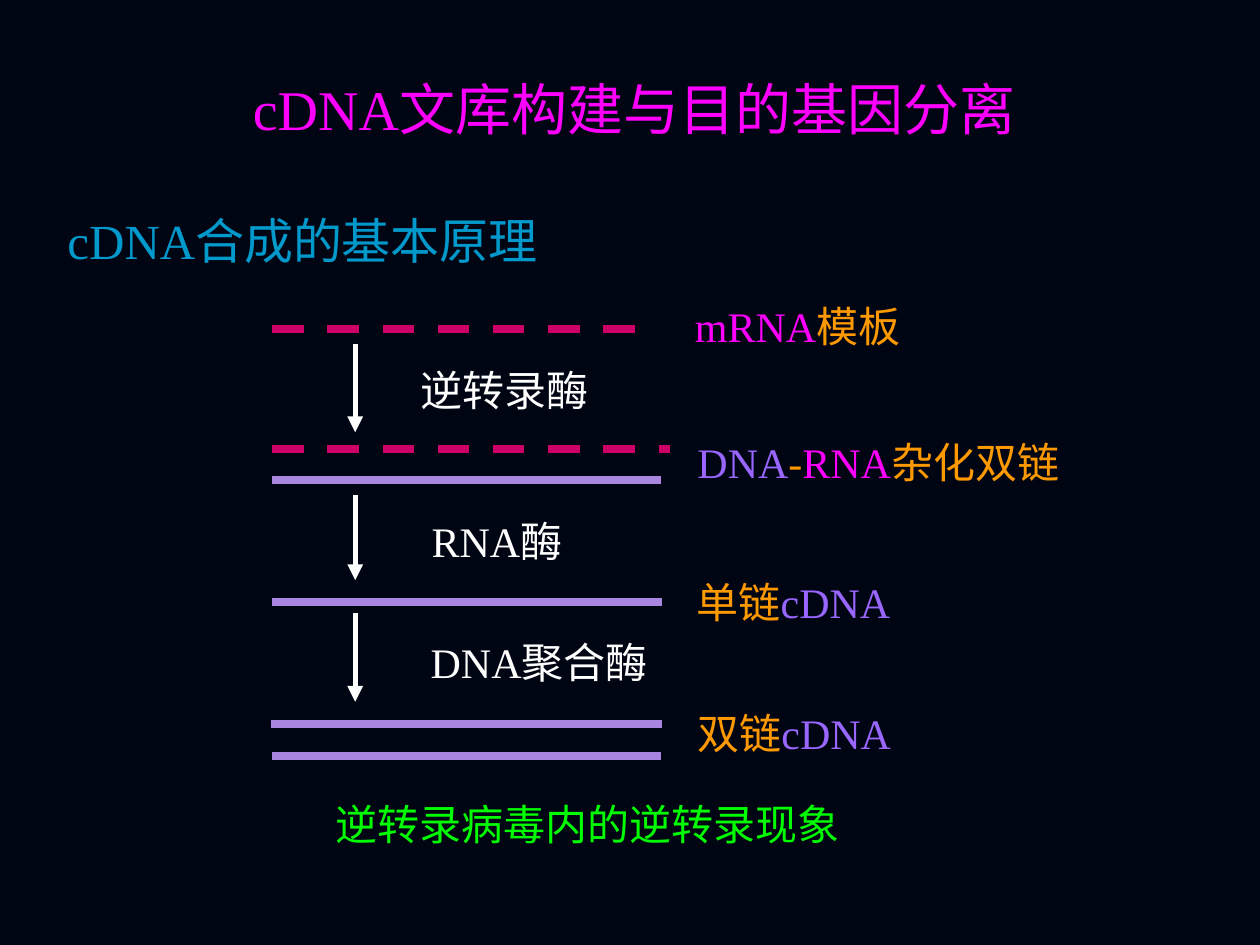
from typing import NamedTuple

from lxml.etree import SubElement
from pptx import Presentation
from pptx.dml.color import RGBColor
from pptx.enum.dml import MSO_LINE_DASH_STYLE as Dash
from pptx.enum.shapes import MSO_CONNECTOR as Connector
from pptx.enum.text import MSO_ANCHOR as Anchor, MSO_AUTO_SIZE as AutoSize, PP_ALIGN as Align
from pptx.oxml.ns import qn
from pptx.util import Pt

NIGHT = RGBColor(0x00, 0x05, 0x14)
WHITE = RGBColor(0xFF, 0xFF, 0xFF)
MAGENTA = RGBColor(0xFF, 0x00, 0xFF)
ORANGE = RGBColor(0xFF, 0x99, 0x00)
VIOLET = RGBColor(0x99, 0x66, 0xFF)
BLUE = RGBColor(0x00, 0x99, 0xCC)
GREEN = RGBColor(0x00, 0xFF, 0x00)
RNA_RED = RGBColor(0xCC, 0x00, 0x66)
DNA_LILAC = RGBColor(0xA8, 0x86, 0xE0)

FONT = "Times New Roman"
LABEL_HEIGHT = 36.5
STRAND_LEFT = 155.5
ARROW_X = 203


class Run(NamedTuple):
    text: str
    color: RGBColor


class Label(NamedTuple):
    left: float
    top: float
    width: float
    runs: list[Run]
    height: float = LABEL_HEIGHT
    size: float = 24
    align: Align = Align.LEFT
    line_spacing: float = 1.0


class Strand(NamedTuple):
    y: float
    right: float
    is_rna: bool = False
    left: float = STRAND_LEFT


class Step(NamedTuple):
    top: float
    bottom: float


TITLE = Label(69, 39, 587, [Run("cDNA文库构建与目的基因分离", MAGENTA)], 54, 32, Align.CENTER)

LABELS = [
    # Heading and closing remark
    Label(31.5, 100, 564.5, [Run("cDNA合成的基本原理", BLUE)], 55.5, 28, line_spacing=1.5),
    Label(46, 453, 579, [Run("逆转录病毒内的逆转录现象", GREEN)], 36, align=Align.CENTER),
    # Products
    Label(390, 168, 189.5, [Run("mRNA", MAGENTA), Run("模板", ORANGE)]),
    Label(391.5, 246, 307, [Run("DNA", VIOLET), Run("-", ORANGE),
                            Run("RNA", MAGENTA), Run("杂化双链", ORANGE)]),
    Label(391, 326, 151, [Run("单链", ORANGE), Run("cDNA", VIOLET)]),
    Label(391.5, 400.5, 150, [Run("双链", ORANGE), Run("cDNA", VIOLET)]),
    # Enzymes
    Label(233.5, 204.5, 150, [Run("逆转录酶", WHITE)]),
    Label(239.5, 291, 121, [Run("RNA酶", WHITE)]),
    Label(239, 360, 158, [Run("DNA聚合酶", WHITE)]),
]

STRANDS = [
    Strand(188, 375, is_rna=True),
    Strand(256.5, 383, is_rna=True),
    Strand(274.5, 377.5),
    Strand(344, 378.5),
    Strand(414, 377.5),
    Strand(432, 377.5),
    Strand(413.5, 378, left=155),
]

STEPS = [Step(196.5, 247), Step(283, 331.5), Step(350.5, 401)]


def fill_text(shape, label: Label) -> None:
    """Place a shape and write the label's coloured runs into it."""
    shape.left, shape.top = Pt(label.left), Pt(label.top)
    shape.width, shape.height = Pt(label.width), Pt(label.height)
    frame = shape.text_frame
    frame_format = {"word_wrap": True, "auto_size": AutoSize.NONE,
                    "vertical_anchor": Anchor.TOP}
    for name, value in frame_format.items():
        setattr(frame, name, value)
    paragraph = frame.paragraphs[0]
    paragraph_format = {"alignment": label.align, "line_spacing": label.line_spacing,
                        "space_before": Pt(0)}
    for name, value in paragraph_format.items():
        setattr(paragraph, name, value)
    for text, color in label.runs:
        run = paragraph.add_run()
        run.text = text
        for name, value in {"name": FONT, "size": Pt(label.size)}.items():
            setattr(run.font, name, value)
        run.font.color.rgb = color


def add_line(slide, start: tuple, end: tuple, color: RGBColor, width: float):
    """Draw a straight line without a shadow."""
    points = [Pt(value) for value in (*start, *end)]
    connector = slide.shapes.add_connector(Connector.STRAIGHT, *points)
    connector.line.color.rgb = color
    connector.line.width = Pt(width)
    SubElement(connector.element.spPr, qn("a:effectLst"))
    return connector


def add_strand(slide, strand: Strand) -> None:
    color = RNA_RED if strand.is_rna else DNA_LILAC
    connector = add_line(slide, (strand.left, strand.y), (strand.right, strand.y), color, 4.5)
    if strand.is_rna:
        connector.line.dash_style = Dash.DASH


def add_step(slide, step: Step) -> None:
    connector = add_line(slide, (ARROW_X, step.top), (ARROW_X, step.bottom), WHITE, 3)
    SubElement(connector.line._get_or_add_ln(), qn("a:tailEnd"), type="triangle")


def main() -> None:
    presentation = Presentation()
    presentation.slide_width, presentation.slide_height = Pt(720), Pt(540)
    slide = presentation.slides.add_slide(presentation.slide_layouts[5])
    slide.background.fill.solid()
    slide.background.fill.fore_color.rgb = NIGHT

    # Title
    fill_text(slide.shapes.title, TITLE)

    # Strands and reaction arrows
    for strand in STRANDS:
        add_strand(slide, strand)
    for step in STEPS:
        add_step(slide, step)

    # Wording
    for label in LABELS:
        fill_text(slide.shapes.add_textbox(0, 0, 0, 0), label)

    presentation.save("out.pptx")


if __name__ == "__main__":
    main()
